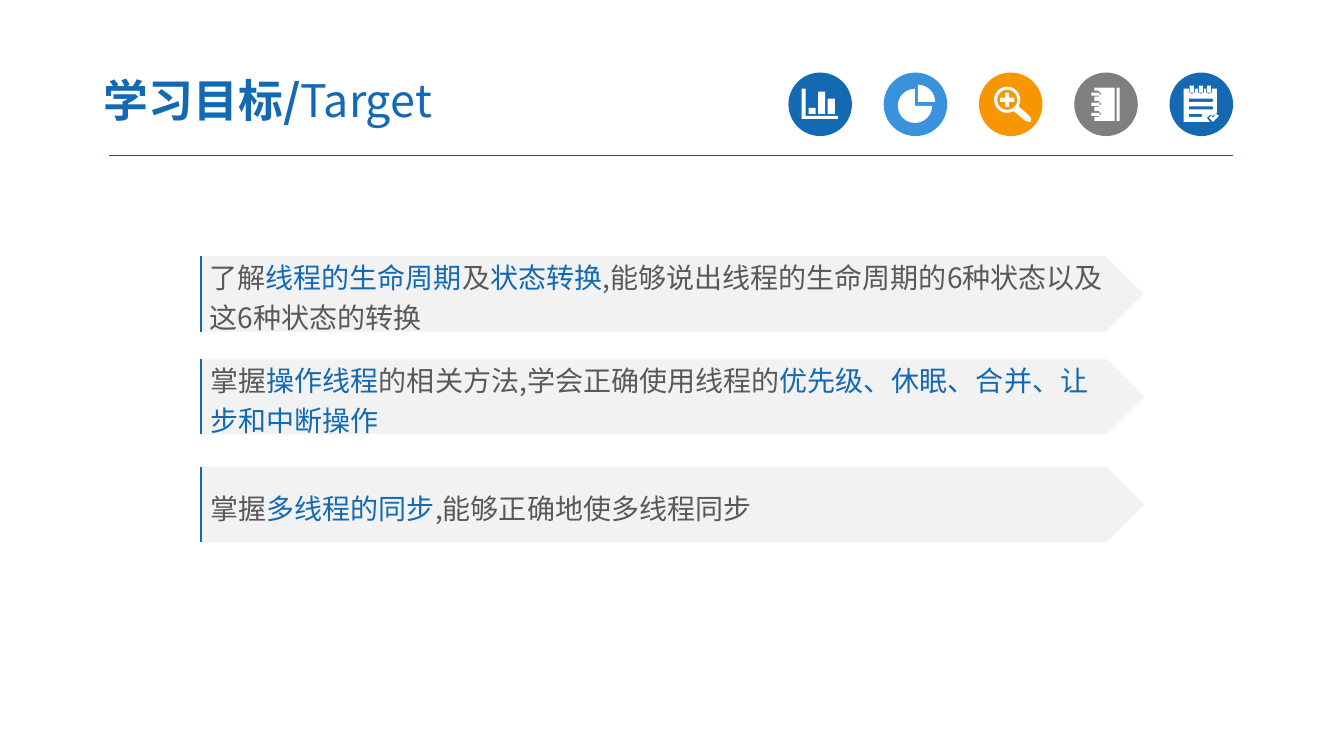
from math import cos, radians, sin

from lxml.etree import SubElement
from pptx import Presentation
from pptx.dml.color import RGBColor
from pptx.enum.shapes import MSO_CONNECTOR, MSO_SHAPE
from pptx.enum.text import MSO_ANCHOR, PP_ALIGN
from pptx.oxml.ns import qn
from pptx.util import Inches, Pt

FONT = "Noto Sans CJK SC"
BLUE = "1369B2"
LIGHT_BLUE = "3992DB"
ORANGE = "F79600"
GRAY = "7F7F7F"
WHITE = "FFFFFF"
TEXT = "595959"
ICON_SIZE = 0.63
GOALS = [
    (1.98, 2.54, [("了解", TEXT), ("线程的生命周期", BLUE), ("及", TEXT), ("状态转换", BLUE),
                  (",能够说出线程的生命周期的6种状态以及这6种状态的转换", TEXT)]),
    (1.99, 3.56, [("掌握", TEXT), ("操作线程", BLUE), ("的相关方法,学会正确使用线程的", TEXT),
                  ("优先级、休眠、合并、让步和中断操作", BLUE)]),
    (1.99, 4.63, [("掌握", TEXT), ("多线程的同步", BLUE), (",能够正确地使多线程同步", TEXT)]),
]


def color(value):
    return RGBColor.from_string(value)


def paint(shape, fill):
    shape.shadow.inherit = False
    shape.fill.solid()
    shape.fill.fore_color.rgb = color(fill)
    shape.line.fill.background()


def add_block(slide, kind, left, top, width, height, fill):
    shape = slide.shapes.add_shape(kind, Inches(left), Inches(top), Inches(width), Inches(height))
    paint(shape, fill)
    return shape


def add_line(slide, start, end, stroke, weight):
    line = slide.shapes.add_connector(MSO_CONNECTOR.STRAIGHT, *map(Inches, start + end))
    line.line.color.rgb = color(stroke)
    line.line.width = Pt(weight)
    SubElement(line._element.spPr, qn("a:effectLst"))


def add_run(paragraph, text, size, fill, bold=False):
    run = paragraph.add_run()
    run.text = text
    run.font.size = Pt(size)
    run.font.bold = bold
    run.font.color.rgb = color(fill)
    run.font.name = FONT
    SubElement(run.font._element, qn("a:ea"), typeface=FONT)


def box(left, top, width, height):
    right, bottom = left + width, top + height
    return [(left, top), (right, top), (right, bottom), (left, bottom)]


def arc(x, y, radius, start, end):
    return [(x + radius * cos(radians(angle)), y + radius * sin(radians(angle)))
            for angle in range(start, end + 1, 15)]


def chart_outlines():
    axis = [(0.13, 0.16), (0.17, 0.16), (0.17, 0.43), (0.49, 0.43), (0.49, 0.46), (0.13, 0.46)]
    heights = (0.06, 0.22, 0.15)
    return [axis] + [box(0.2 + 0.095 * column, 0.41 - height, 0.07, height)
                     for column, height in enumerate(heights)]


def pie_outlines():
    return [[(0.31, 0.33)] + arc(0.31, 0.33, 0.17, 0, 270),
            [(0.34, 0.29)] + arc(0.34, 0.29, 0.17, 270, 360)]


def magnifier_outlines():
    x, y = 0.28, 0.27
    handle = [(0.5, 0.43), (0.52, 0.46), (0.51, 0.49), (0.46, 0.48)]
    near, far = 0.02, 0.07
    plus = [(x - near, y - far), (x + near, y - far), (x + near, y - near), (x + far, y - near),
            (x + far, y + near), (x + near, y + near), (x + near, y + far), (x - near, y + far),
            (x - near, y + near), (x - far, y + near), (x - far, y - near), (x - near, y - near)]
    return [arc(x, y, 0.13, 60, 390) + handle, arc(x, y, 0.1, 0, 345), plus]


def notebook_outlines():
    rings = (0.21, 0.31, 0.41)
    page = [(0.4, 0.48), (0.4, 0.15), (0.2, 0.15)]
    for y in rings:
        page += [(0.2, y - 0.03), (0.24, y - 0.03), (0.27, y), (0.24, y + 0.03), (0.2, y + 0.03)]
    page.append((0.2, 0.48))
    return [page, box(0.42, 0.15, 0.03, 0.33)] + [box(0.17, y - 0.01, 0.08, 0.03) for y in rings]


def checklist_outlines():
    rings = (0.22, 0.31, 0.39)
    page = [(0.14, 0.16)]
    for x in rings:
        page += [(x - 0.03, 0.16), (x - 0.03, 0.2), (x, 0.21), (x + 0.03, 0.2), (x + 0.03, 0.16)]
    page += [(0.47, 0.16), (0.47, 0.4), (0.43, 0.43), (0.4, 0.42), (0.37, 0.45),
             (0.4, 0.49), (0.14, 0.49)]
    tick = [(0.39, 0.45), (0.41, 0.43), (0.43, 0.45), (0.46, 0.41), (0.49, 0.43), (0.43, 0.49)]
    clips = [box(x - 0.02, 0.13, 0.04, 0.07) for x in rings]
    entries = [box(0.19, 0.26 + 0.075 * row, width, 0.03)
               for row, width in enumerate((0.24, 0.24, 0.13))]
    return [page, tick] + clips + entries


def add_icon(slide, left, top, fill, outlines):
    add_block(slide, MSO_SHAPE.OVAL, left, top, ICON_SIZE, ICON_SIZE, fill)
    builder = None
    for outline in outlines:
        corners = [(Inches(left + x), Inches(top + y)) for x, y in outline]
        if builder is None:
            builder = slide.shapes.build_freeform(*corners[0])
        else:
            builder.move_to(*corners[0])
        builder.add_line_segments(corners[1:], close=True)
    paint(builder.convert_to_shape(), WHITE)


def add_icons(slide, left, top, step):
    icons = [(BLUE, chart_outlines()), (LIGHT_BLUE, pie_outlines()),
             (ORANGE, magnifier_outlines()), (GRAY, notebook_outlines()),
             (BLUE, checklist_outlines())]
    for index, (fill, outlines) in enumerate(icons):
        add_icon(slide, left + step * index, top, fill, outlines)


def add_title(slide, left, top, width, height):
    title = slide.shapes.title
    title.left, title.top = Inches(left), Inches(top)
    title.width, title.height = Inches(width), Inches(height)
    frame = title.text_frame
    frame.word_wrap = True
    frame.vertical_anchor = MSO_ANCHOR.MIDDLE
    frame.margin_left = frame.margin_right = Inches(0.13)
    frame.margin_top = frame.margin_bottom = Inches(0.07)
    paragraph = frame.paragraphs[0]
    paragraph.alignment = PP_ALIGN.LEFT
    add_run(paragraph, "学习目标/", 32, BLUE, bold=True)
    add_run(paragraph, "Target", 32, BLUE)


def add_goal(slide, left, top, width, height, parts):
    plate = add_block(slide, MSO_SHAPE.PENTAGON, left, top, width, height, "F2F2F2")
    frame = plate.text_frame
    frame.word_wrap = True
    frame.vertical_anchor = MSO_ANCHOR.MIDDLE
    paragraph = frame.paragraphs[0]
    paragraph.alignment = PP_ALIGN.LEFT
    paragraph.line_spacing = 1.2
    for text, fill in parts:
        add_run(paragraph, text, 20, fill)
    edge = 1.99
    add_line(slide, (edge, top), (edge, top + height), BLUE, 1.5)


def main():
    presentation = Presentation()
    presentation.slide_width = Inches(13.33)
    presentation.slide_height = Inches(7.5)
    slide = presentation.slides.add_slide(presentation.slide_layouts[5])
    add_line(slide, (1.08, 1.54), (12.23, 1.54), "005B9E", 0.75)
    add_icons(slide, 7.82, 0.72, 0.945)
    add_title(slide, 0.9, 0.63, 5.22, 0.72)
    for left, top, parts in GOALS:
        add_goal(slide, left, top, 9.36, 0.75, parts)
    presentation.save("out.pptx")


if __name__ == "__main__":
    main()
